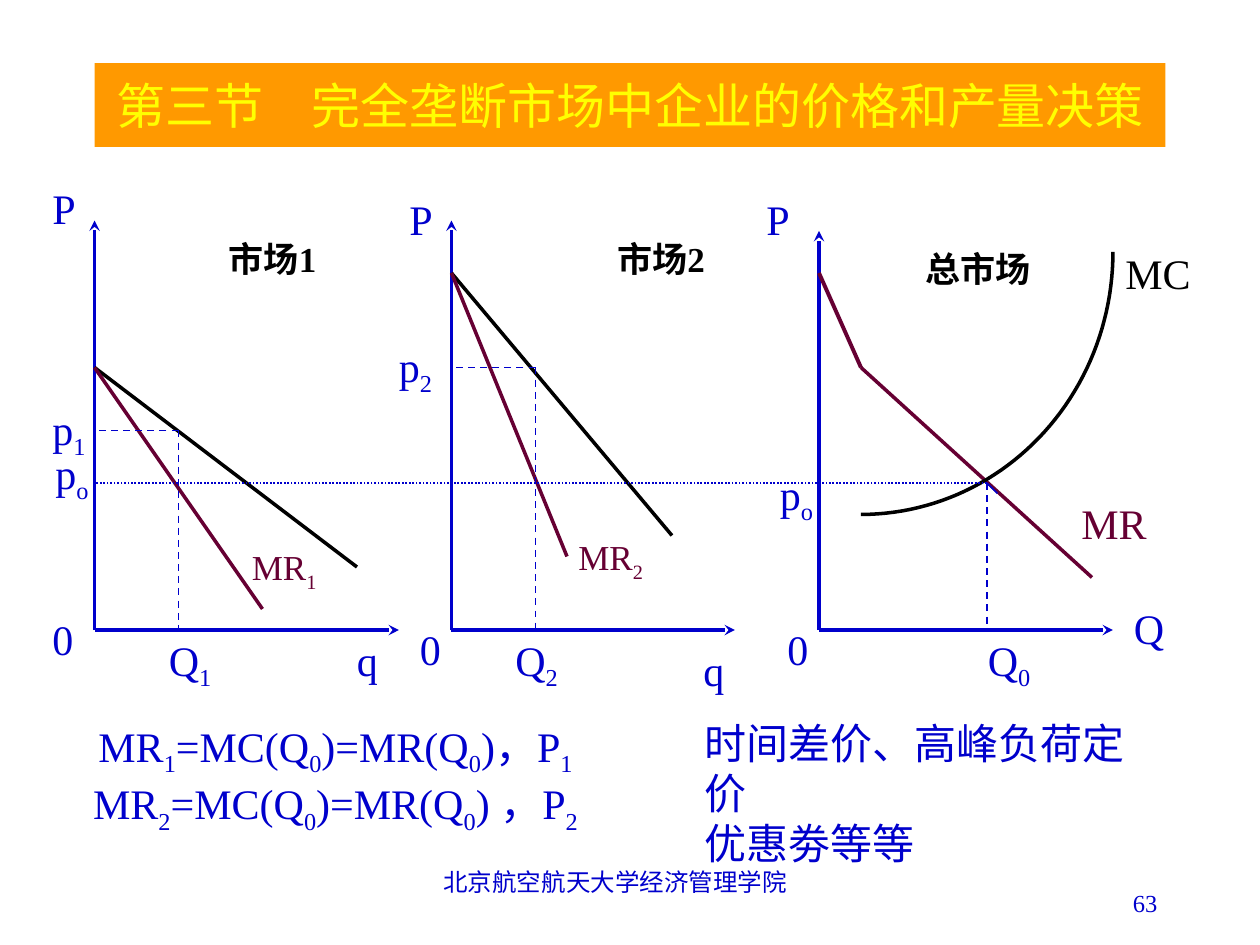
import math

from lxml import etree
from pptx import Presentation
from pptx import util as u
from pptx.dml.color import RGBColor
from pptx.enum import dml, shapes, text
from pptx.oxml.ns import qn

PX = 7620  # EMU per px, 120 px to the inch
FONT = "Times New Roman"
BLUE = RGBColor(0x00, 0x00, 0xCC)
WINE = RGBColor(0x66, 0x00, 0x33)
BLACK = RGBColor(0x00, 0x00, 0x00)
ORANGE = RGBColor(0xFF, 0x99, 0x00)
YELLOW = RGBColor(0xFF, 0xFF, 0x00)
DASH = dml.MSO_LINE.DASH
DOT = dml.MSO_LINE.ROUND_DOT
LEFT, MID, RIGHT = text.PP_ALIGN.LEFT, text.PP_ALIGN.CENTER, text.PP_ALIGN.RIGHT


class Board:
    def __init__(self):
        self.deck = Presentation()
        self.deck.slide_width = 1200 * PX
        self.deck.slide_height = 900 * PX
        self.slide = self.deck.slides.add_slide(self.deck.slide_layouts[5])

    def put(self, para, line, size, color, bold=False, align=LEFT):
        """Fill a paragraph; the character after each underscore is a subscript."""
        para.alignment = align
        font = para.font
        font.name, font.size, font.bold = FONT, u.Pt(size), bold
        font.color.rgb = color
        head, *rest = line.split("_")
        para.add_run().text = head
        for part in rest:
            sub = para.add_run()
            sub.text = part[0]
            sub.font._element.set("baseline", "-25000")
            if part[1:]:
                para.add_run().text = part[1:]

    def title(self, line, x, y, w, h):
        box = self.slide.shapes.title
        box.left, box.top, box.width, box.height = (n * PX for n in (x, y, w, h))
        box.fill.solid()
        box.fill.fore_color.rgb = ORANGE
        frame = box.text_frame
        frame.auto_size = text.MSO_AUTO_SIZE.NONE
        frame.vertical_anchor = text.MSO_ANCHOR.MIDDLE
        self.put(frame.paragraphs[0], line, 28, YELLOW, align=MID)

    def label(self, lines, x, y, w, h, size=24, color=BLUE, bold=False,
              align=LEFT, wrap=False):
        box = self.slide.shapes.add_textbox(*(n * PX for n in (x, y, w, h)))
        frame = box.text_frame
        frame.word_wrap = wrap
        for i, line in enumerate(lines.split("\n")):
            para = frame.add_paragraph() if i else frame.paragraphs[0]
            self.put(para, line, size, color, bold, align)

    def line(self, x1, y1, x2, y2, color=BLUE, width=2, dash=None, arrow=False):
        wire = self.slide.shapes.add_connector(
            shapes.MSO_CONNECTOR.STRAIGHT, *(n * PX for n in (x1, y1, x2, y2)))
        wire.line.color.rgb = color
        wire.line.width = u.Pt(width)
        if dash:
            wire.line.dash_style = dash
        if arrow:
            etree.SubElement(wire.line._get_or_add_ln(), qn("a:tailEnd"), type="stealth")
        etree.SubElement(wire._element.spPr, qn("a:effectLst"))

    def arc(self, x, y, rx, ry, steps=48):
        """Draw the lower right quarter of an ellipse centred on x, y."""
        turns = [math.pi / 2 * i / steps for i in range(steps + 1)]
        dots = [((x + rx * math.cos(t)) * PX, (y + ry * math.sin(t)) * PX) for t in turns]
        pen = self.slide.shapes.build_freeform(*dots[0])
        pen.add_line_segments(dots[1:], close=False)
        curve = pen.convert_to_shape()
        curve.fill.background()
        curve.line.color.rgb = BLACK
        curve.line.width = u.Pt(2)
        curve.shadow.inherit = False


def main():
    board = Board()
    board.title("第三节　完全垄断市场中企业的价格和产量决策", 90, 60, 1020, 80)
    board.label("北京航空航天大学经济管理学院", 396, 820, 380, 60, 14, align=MID, wrap=True)
    board.label("63", 864, 840, 250, 60, 14, align=RIGHT, wrap=True)

    base = 600
    # Axes: origin, top and right end
    for x, top, end in ((90, 210, 380), (430, 210, 700), (780, 220, 1060)):
        board.line(x, base, x, top, arrow=True)
        board.line(x, base, end, base, arrow=True)

    # Markets: axis, intercept, demand end, revenue end, quantity, price
    for x, top, demand, revenue, qty, price in (
            (90, 350, (340, 540), (250, 580), 170, 410),
            (430, 260, (640, 510), (540, 530), 510, 350)):
        board.line(x, top, *demand, BLACK)
        board.line(x, top, *revenue, WINE)
        board.line(qty, price, qty, base, width=1, dash=DASH)
        board.line(qty, price, x, price, width=1, dash=DASH)

    # Total market
    board.line(780, 260, 820, 350, WINE, 2.25)
    board.line(820, 350, 1040, 550, WINE)
    board.arc(820, 240, 240, 250)
    board.line(940, 460, 950, 470, width=1)
    board.line(940, 460, 90, 460, width=1, dash=DOT)
    board.line(940, 460, 940, base, width=1, dash=DASH)

    for name, w, h, spots in (
            ("P", 47, 60, ((38, 168), (378, 178), (718, 178))),
            ("0", 44, 60, ((38, 578), (388, 588), (738, 588))),
            ("q", 44, 60, ((328, 598), (658, 608))),
            ("Q", 53, 60, ((1068, 568),)),
            ("p_1", 56, 67, ((38, 378),)),
            ("p_2", 56, 67, ((368, 318),)),
            ("p_o", 56, 67, ((41, 420), (731, 440))),
            ("Q_1", 65, 67, ((149, 598),)),
            ("Q_2", 65, 67, ((479, 598),)),
            ("Q_0", 65, 67, ((929, 598),))):
        for x, y in spots:
            board.label(name, x, y, w, h)

    board.label("MR", 1018, 468, 86, 60, color=WINE)
    board.label("MC", 1060, 230, 86, 60, color=BLACK)
    board.label("MR_1", 228, 514, 86, 58, 20, WINE)
    board.label("MR_2", 539, 504, 86, 58, 20, WINE)
    for name, x, y, w in (("市场1", 206, 220, 115), ("市场2", 576, 220, 115),
                          ("总市场", 870, 230, 140)):
        board.label(name, x, y, w, 52, 20, BLACK, True)

    board.label("时间差价、高峰负荷定价\n优惠劵等等", 659, 677, 463, 108)
    board.label("MR_1=MC(Q_0)=MR(Q_0)，P_1\nMR_2=MC(Q_0)=MR(Q_0) ，P_2",
                50, 680, 539, 121, align=MID, wrap=True)
    board.deck.save("out.pptx")


if __name__ == "__main__":
    main()
